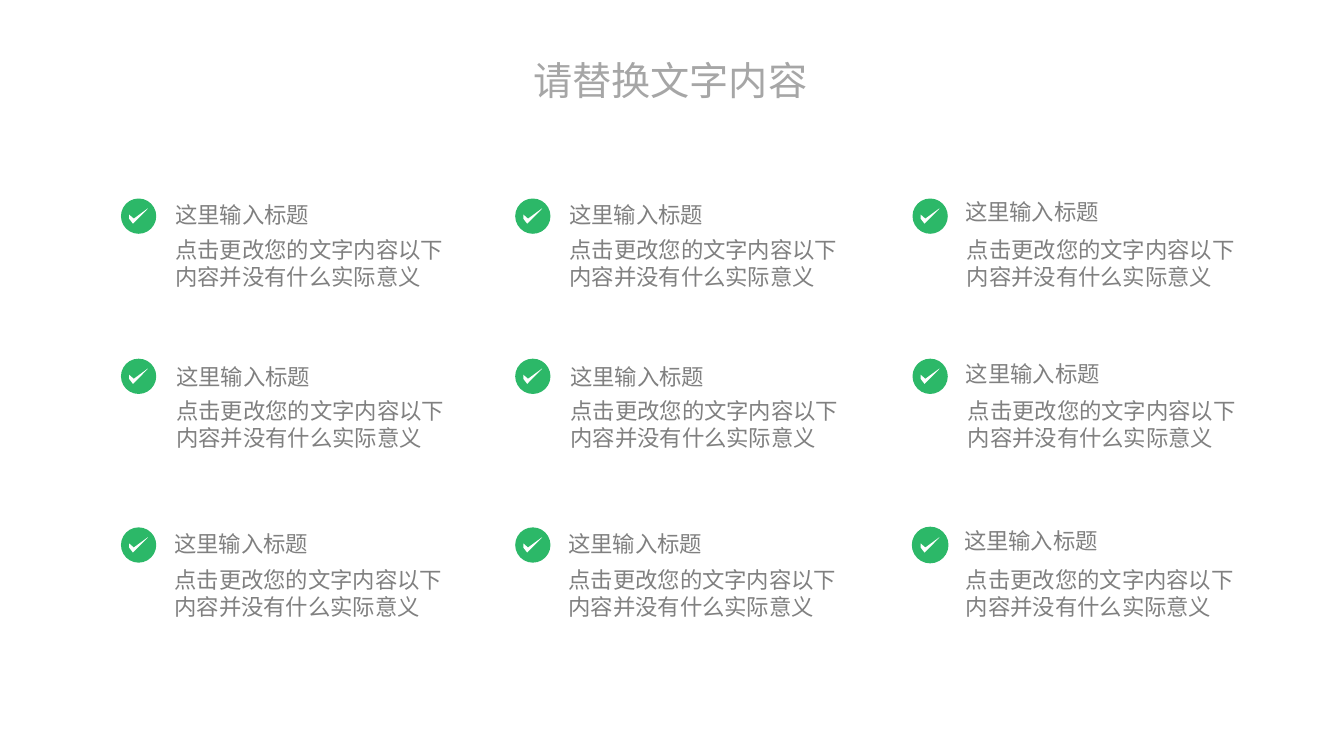
from pptx import Presentation
from pptx.dml.color import RGBColor
from pptx.enum.shapes import MSO_SHAPE as Shape
from pptx.enum.text import MSO_ANCHOR as Anchor, MSO_AUTO_SIZE as AutoSize, PP_ALIGN as Align
from pptx.oxml.ns import qn
from pptx.util import Pt

FONT = "Noto Sans CJK SC"
GREEN, WHITE, GRAY, LIGHT_GRAY = "2CB868", "FFFFFF", "808080", "A6A6A6"
BADGE_SIZE = 25.2
CHECK_POINTS = [(5.8, 14.4), (8.6, 18), (18.7, 7.9), (19.3, 7), (9.2, 14.4), (5.8, 11.5)]


def fill_shape(shape, color):
    shape.shadow.inherit = False
    shape.fill.solid()
    shape.fill.fore_color.rgb = RGBColor.from_string(color)
    shape.line.fill.background()


def write_text(box, text, size, color, anchor=Anchor.MIDDLE):
    """Write one paragraph in FONT, for Latin and East Asian characters alike."""
    frame = box.text_frame
    frame.text = text
    frame.word_wrap = True
    frame.vertical_anchor = anchor
    font = frame.paragraphs[0].runs[0].font
    font.name = FONT
    font.size = Pt(size)
    font.color.rgb = RGBColor.from_string(color)
    east_asian = font._element.makeelement(qn("a:ea"), {"typeface": FONT})
    font._element.find(qn("a:latin")).addnext(east_asian)


deck = Presentation()
deck.slide_width, deck.slide_height = Pt(960), Pt(540)
page = deck.slides.add_slide(deck.slide_layouts[5])
shapes = page.shapes

title = shapes.title
title.left, title.top, title.width, title.height = Pt(373.7), Pt(30.2), Pt(212.4), Pt(45.4)
write_text(title, "请替换文字内容", 28, LIGHT_GRAY, Anchor.TOP)
title.text_frame.word_wrap = False
title.text_frame.auto_size = AutoSize.SHAPE_TO_FIT_TEXT
title_para = title.text_frame.paragraphs[0]
title_para.alignment = Align.JUSTIFY
title_para.line_spacing = 1.2

# Badge left, heading left, heading lift, body left
columns = [(86.4, 118.1, 0, 125.3), (368, 399.6, 0, 406.8), (651.8, 682.2, 2.5, 690.6)]
# Badge top, heading middle, body top, text shift to the right
rows = [(141.8, 153.5, 164, 0), (256.2, 269, 278.6, 0.7), (376.7, 388.6, 399.6, -0.7)]

for badge_top, heading_middle, body_top, shift in rows:
    for badge_left, heading_left, lift, body_left in columns:
        badge = shapes.add_shape(Shape.OVAL, Pt(badge_left), Pt(badge_top),
                                 Pt(BADGE_SIZE), Pt(BADGE_SIZE))
        fill_shape(badge, GREEN)

        outline = [(Pt(x), Pt(y)) for x, y in CHECK_POINTS]
        builder = shapes.build_freeform(*outline[0])
        builder.add_line_segments(outline[1:], close=True)
        check = builder.convert_to_shape(Pt(badge_left), Pt(badge_top))
        fill_shape(check, WHITE)

        heading = shapes.add_textbox(Pt(heading_left + shift), Pt(heading_middle - lift - 11),
                                     Pt(126), Pt(22))
        write_text(heading, "这里输入标题", 16, GRAY)

        body = shapes.add_textbox(Pt(body_left + shift), Pt(body_top), Pt(208.8), Pt(48.2))
        write_text(body, "点击更改您的文字内容以下内容并没有什么实际意义", 16, GRAY)
        body.text_frame.margin_left = 0

# The last badge carries a thin outline of its own colour
badge.line.color.rgb = RGBColor.from_string(GREEN)
badge.line.width = Pt(1)

deck.save("out.pptx")
